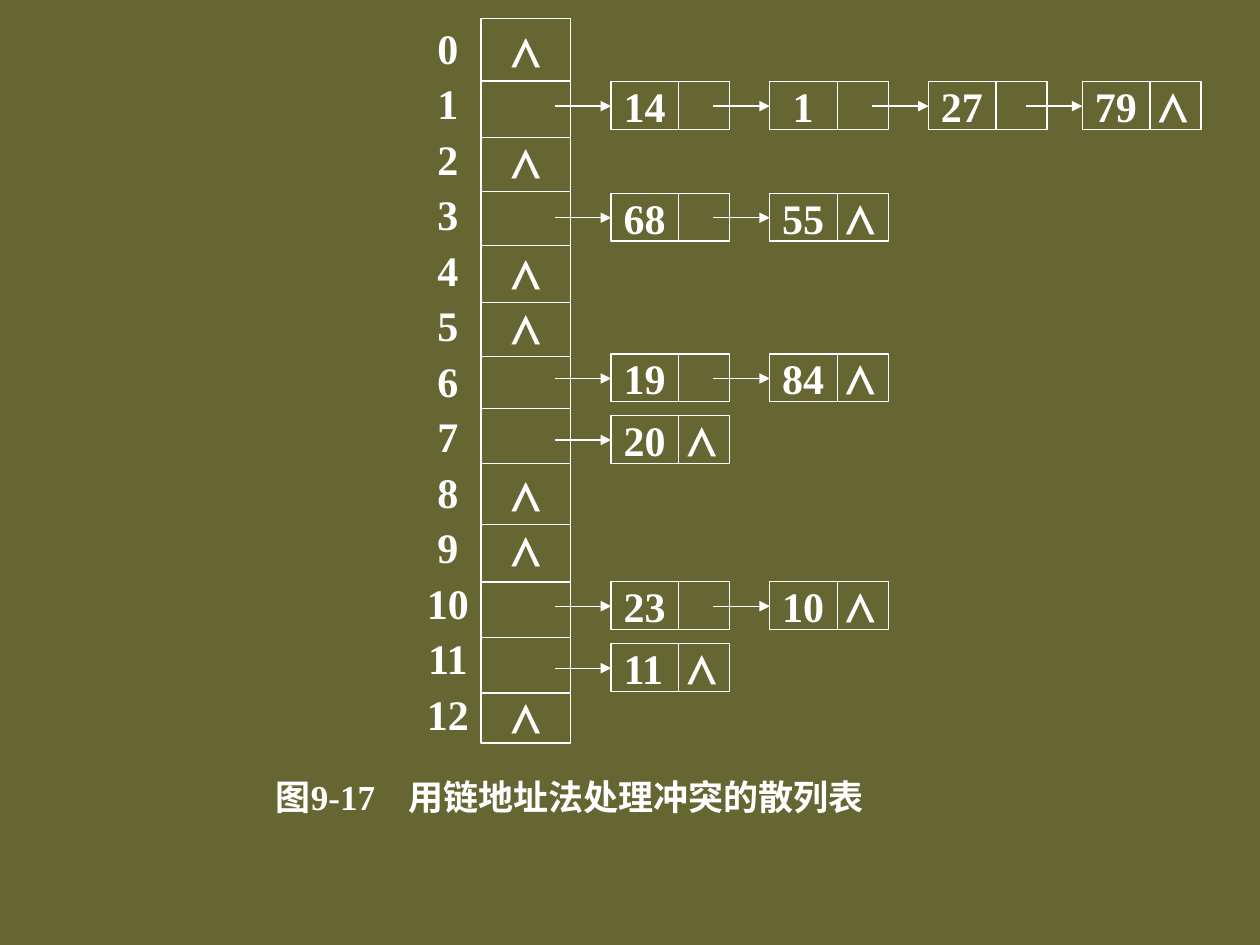
from dataclasses import dataclass
from lxml.etree import SubElement
from pptx import Presentation
from pptx.dml.color import RGBColor
from pptx.enum.shapes import MSO_CONNECTOR, MSO_SHAPE
from pptx.enum.text import MSO_ANCHOR, PP_ALIGN
from pptx.oxml.ns import qn
from pptx.util import Cm, Pt


@dataclass(frozen=True)
class Theme:
    back: RGBColor = RGBColor(0x66, 0x66, 0x33)
    ink: RGBColor = RGBColor(0xFF, 0xFF, 0xFF)
    font: str = "Times New Roman"
    body: float = 24
    small: float = 20
    pitch: float = 31.7
    line: float = 0.75


NIL = "⋀"
ROWS = 13
CHAINS = [
    (1.65, [14, 1, 27, 79]),
    (3.9, [68, 55]),
    (7.14, [19, 84]),
    (8.38, [20]),
    (11.73, [23, 10]),
    (12.98, [11]),
]
EMPTY = [0, 2, 4, 5, 8, 9, 12]
RULES = [1.63, 2.77, 3.86, 4.95, 6.1, 7.19, 8.23, 9.35, 10.57, 11.73, 12.85, 13.97]
FIRST, STEP, LIMIT = 12.32, 3.2, 21.82
WIDTH, HEIGHT, SPLIT = 2.39, 0.96, 1.36
REACH, MIDDLE = 1.14, 0.49
LEFT, TOP, WIDE, TALL = 9.7, 0.38, 1.8, 14.6


class Pen:
    def __init__(self, slide, theme):
        self.slide = slide
        self.theme = theme
        slide.background.fill.solid()
        slide.background.fill.fore_color.rgb = theme.back

    def text(self, shape, words, size, pad=(0, 0), align=PP_ALIGN.LEFT, tab=None):
        frame = shape.text_frame
        frame.word_wrap = True
        frame.vertical_anchor = MSO_ANCHOR.MIDDLE
        frame.margin_left, frame.margin_top = Cm(pad[0]), Cm(pad[1])
        frame.margin_right, frame.margin_bottom = 0, Cm(pad[1])
        frame.text = words
        for para in frame.paragraphs:
            para.alignment = align
            for run in para.runs:
                run.font.name = self.theme.font
                run.font.size = Pt(size)
                run.font.bold = True
                run.font.color.rgb = self.theme.ink
            if tab:
                stops = SubElement(para._p.get_or_add_pPr(), qn("a:tabLst"))
                SubElement(stops, qn("a:tab"), pos=str(Cm(tab)), algn="l")
        return frame

    def label(self, x, y, w, h, words, size, **style):
        box = self.slide.shapes.add_textbox(Cm(x), Cm(y), Cm(w), Cm(h))
        return self.text(box, words, size, **style)

    def box(self, x, y, w, h, words, **style):
        rect = self.slide.shapes.add_shape(
            MSO_SHAPE.RECTANGLE, Cm(x), Cm(y), Cm(w), Cm(h))
        rect.shadow.inherit = False
        rect.fill.background()
        rect.line.color.rgb = self.theme.ink
        rect.line.width = Pt(self.theme.line)
        return self.text(rect, words, self.theme.body, **style)

    def line(self, x, y, right, low, arrow=False):
        link = self.slide.shapes.add_connector(
            MSO_CONNECTOR.STRAIGHT, Cm(x), Cm(y), Cm(right), Cm(low))
        link.line.color.rgb = self.theme.ink
        link.line.width = Pt(self.theme.line)
        if arrow:
            SubElement(link.line._get_or_add_ln(), qn("a:tailEnd"), type="triangle")
        SubElement(link._element.spPr, qn("a:effectLst"))

    def node(self, x, y, key, last):
        words = f"{key}\t{NIL}" if last else str(key)
        inset = 0.25 + 0.21 * (2 - len(str(key)))
        self.box(x, y, WIDTH, HEIGHT, words, pad=(inset, 0.13), tab=1.27)
        self.line(x + SPLIT, y, x + SPLIT, y + HEIGHT)
        self.line(x - REACH, y + MIDDLE, x, y + MIDDLE, arrow=True)

    def chain(self, y, keys):
        for spot, key in enumerate(keys):
            x = min(FIRST + STEP * spot, LIMIT)
            self.node(x, y, key, spot == len(keys) - 1)

    def stack(self, frame, rows):
        pitch = self.theme.pitch
        for para, row, prior in zip(frame.paragraphs, rows, [-1] + rows):
            para.line_spacing = Pt(pitch)
            para.space_before = Pt(pitch * (row - prior - 1))

    def table(self):
        rows = list(range(ROWS))
        names = self.label(8.53, 0.32, 1, TALL, "\n".join(map(str, rows)),
                           self.theme.body, align=PP_ALIGN.CENTER)
        self.stack(names, rows)
        cells = self.box(LEFT, TOP, WIDE, TALL, "\n".join(NIL for _ in EMPTY),
                         align=PP_ALIGN.CENTER)
        self.stack(cells, EMPTY)
        for y in RULES:
            self.line(LEFT, y, LEFT + WIDE, y)


def main():
    deck = Presentation()
    deck.slide_width, deck.slide_height = Cm(25.4), Cm(19.05)
    theme = Theme()
    pen = Pen(deck.slides.add_slide(deck.slide_layouts[6]), theme)
    pen.label(5.31, 15.62, 12.4, 0.89, "图9-17\t用链地址法处理冲突的散列表",
              theme.small, pad=(0.25, 0.13), tab=2.67)
    for y, keys in CHAINS:
        pen.chain(y, keys)
    pen.table()
    deck.save("out.pptx")


if __name__ == "__main__":
    main()
